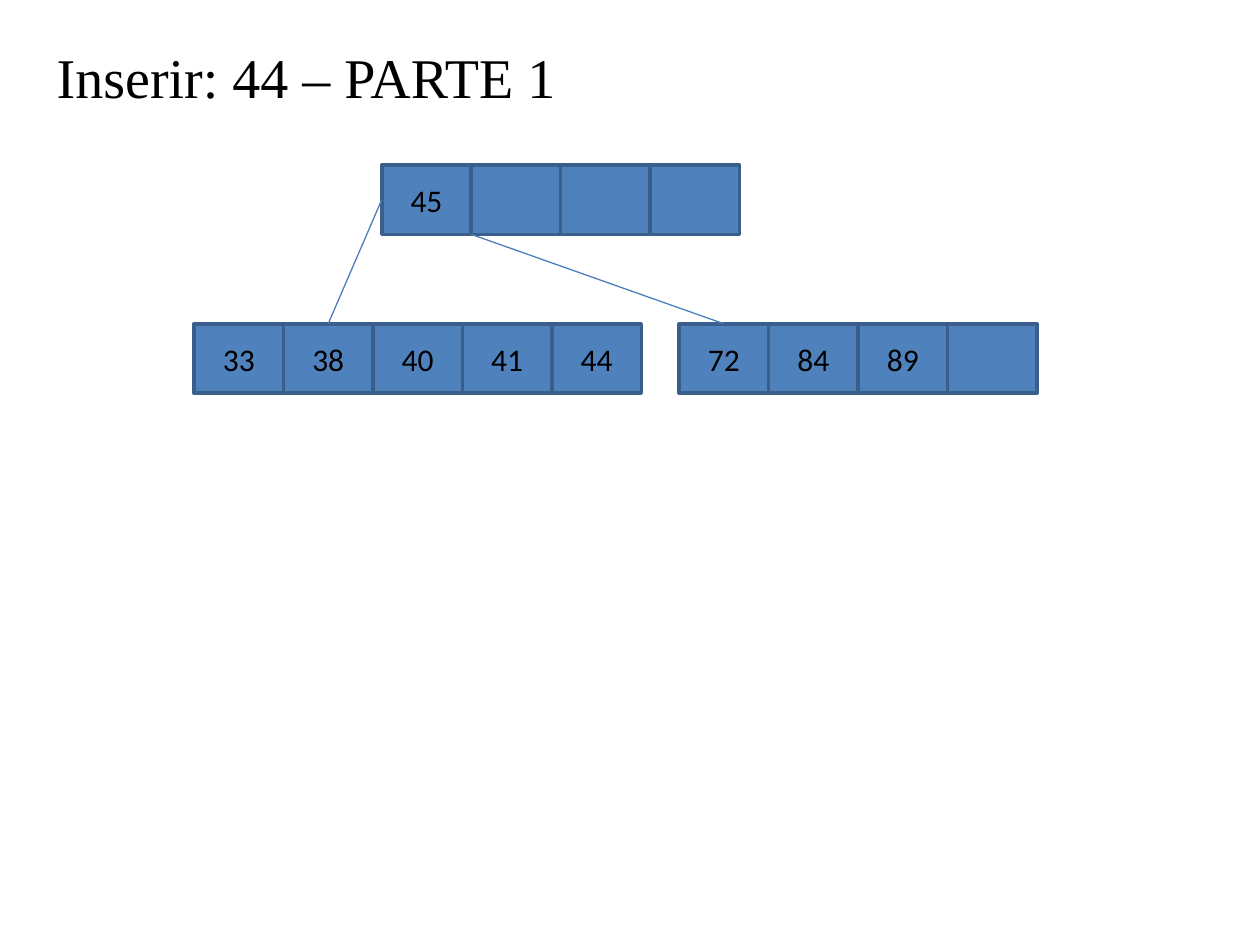
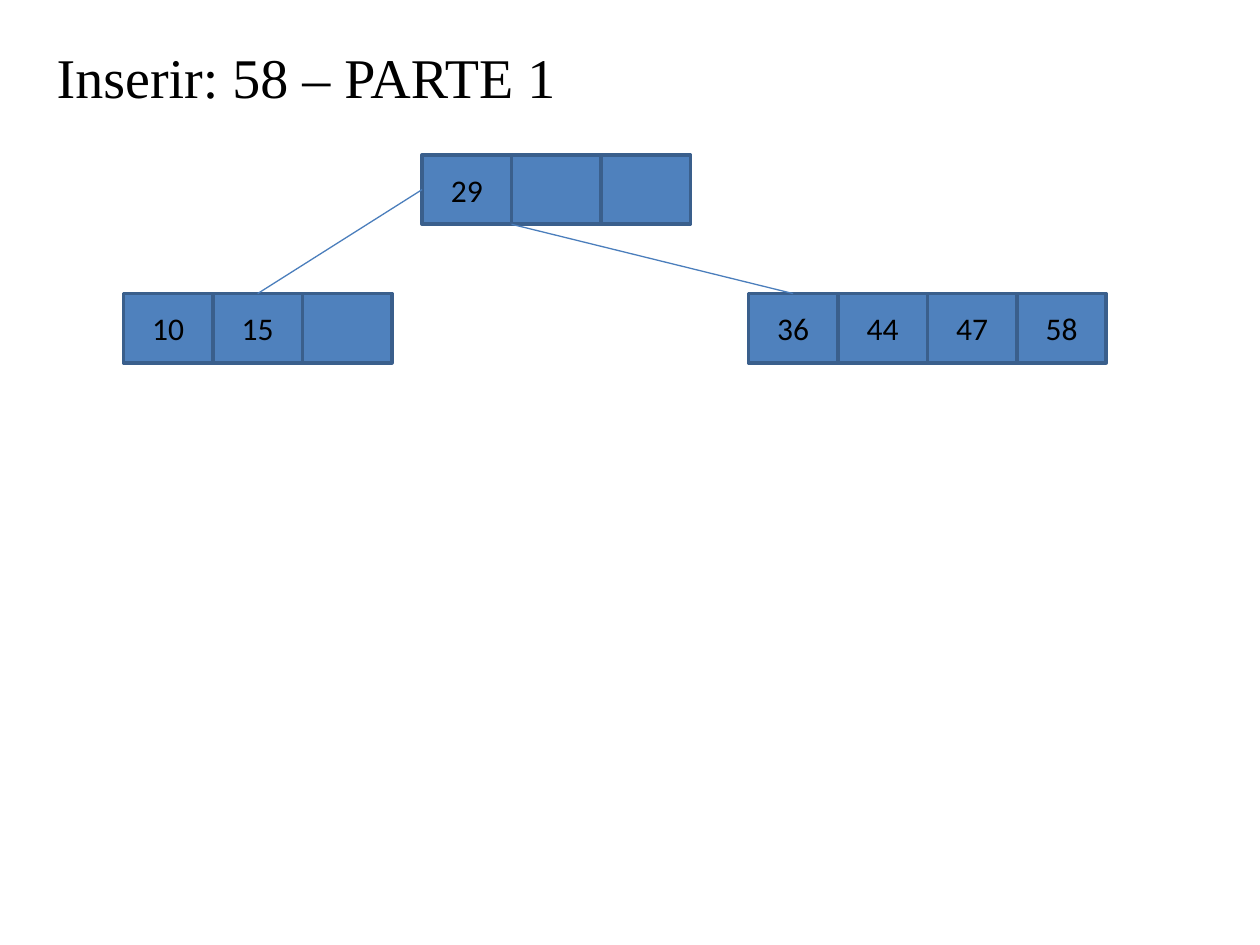
from pptx import Presentation
from pptx.dml.color import RGBColor
from pptx.enum.shapes import MSO_CONNECTOR, MSO_SHAPE
from pptx.enum.text import MSO_ANCHOR, PP_ALIGN
from pptx.oxml.ns import qn
from pptx.util import Inches, Pt
from lxml import etree

RECTANGLE = MSO_SHAPE.RECTANGLE
STRAIGHT = MSO_CONNECTOR.STRAIGHT
MIDDLE = MSO_ANCHOR.MIDDLE
CENTER, JUSTIFY = PP_ALIGN.CENTER, PP_ALIGN.JUSTIFY

BLACK = RGBColor(0x00, 0x00, 0x00)
KEY_FILL = RGBColor(0x4F, 0x81, 0xBD)
KEY_BORDER = RGBColor(0x3A, 0x5F, 0x8C)
BRANCH = RGBColor(0x4B, 0x7E, 0xBC)

HEADING_FONT = {"name": "Times New Roman", "size": Pt(32)}
KEY_FONT = {"name": "Calibri", "size": Pt(18)}
HEADING_BOX = (0.35, 0.29, 5.91, 1.02)
CELL_WIDTH, CELL_HEIGHT = 0.71, 0.55

# Each node is (left, top, keys); an empty key is a free cell.
# The left branch meets the child's second cell, the right one its first.
TREES = [
    {
        "heading": "Inserir: 44 – PARTE 1",
        "root": (3.03, 1.31, ["45", "", "", ""]),
        "left": (1.54, 2.57, ["33", "38", "40", "41", "44"]),
        "right": (5.39, 2.57, ["72", "84", "89", ""]),
    },
    {
        "heading": "Inserir: 58 – PARTE 1",
        "root": (3.35, 1.23, ["29", "", ""]),
        "left": (0.98, 2.33, ["10", "15", ""]),
        "right": (5.94, 2.33, ["36", "44", "47", "58"]),
    },
]


def write(shape, text, align, font):
    """Fill a shape with one formatted paragraph."""
    para = shape.text_frame.paragraphs[0]
    para.alignment = align
    span = para.add_run()
    span.text = text
    for name, value in font.items():
        setattr(span.font, name, value)
    span.font.color.rgb = BLACK


def add_heading(page, text, box):
    """Use the subtitle placeholder as heading and drop the unused title."""
    title = page.shapes.title.element
    title.getparent().remove(title)
    heading = page.placeholders[1]
    heading.left, heading.top, heading.width, heading.height = map(Inches, box)
    write(heading, text, JUSTIFY, HEADING_FONT)


def add_node(page, left, top, keys):
    """Draw a node as a row of adjoining cells."""
    for column, key in enumerate(keys):
        cell = page.shapes.add_shape(
            RECTANGLE, Inches(left + column * CELL_WIDTH), Inches(top),
            Inches(CELL_WIDTH), Inches(CELL_HEIGHT))
        cell.shadow.inherit = False
        cell.fill.solid()
        cell.fill.fore_color.rgb = KEY_FILL
        cell.line.color.rgb = KEY_BORDER
        cell.line.width = Pt(2)
        if key:
            cell.text_frame.vertical_anchor = MIDDLE
            write(cell, key, CENTER, KEY_FONT)


def add_branch(page, start, end):
    """Join a parent to a child with a thin line."""
    branch = page.shapes.add_connector(
        STRAIGHT, *(Inches(length) for length in (*start, *end)))
    branch.line.color.rgb = BRANCH
    branch.line.width = Pt(0.75)
    etree.SubElement(branch.element.spPr, qn("a:effectLst"))


def add_tree(page, root, left, right):
    """Draw the root, its two children and the branches between them."""
    for node in (root, left, right):
        add_node(page, *node)
    root_x, root_y = root[:2]
    add_branch(page, (root_x, root_y + CELL_HEIGHT / 2),
               (left[0] + 1.5 * CELL_WIDTH, left[1]))
    add_branch(page, (root_x + CELL_WIDTH, root_y + CELL_HEIGHT),
               (right[0] + 0.5 * CELL_WIDTH, right[1]))


deck = Presentation()
deck.slide_width, deck.slide_height = Inches(10), Inches(7.5)
for tree in TREES:
    page = deck.slides.add_slide(deck.slide_layouts[0])
    add_heading(page, tree["heading"], HEADING_BOX)
    add_tree(page, tree["root"], tree["left"], tree["right"])
deck.save("out.pptx")
